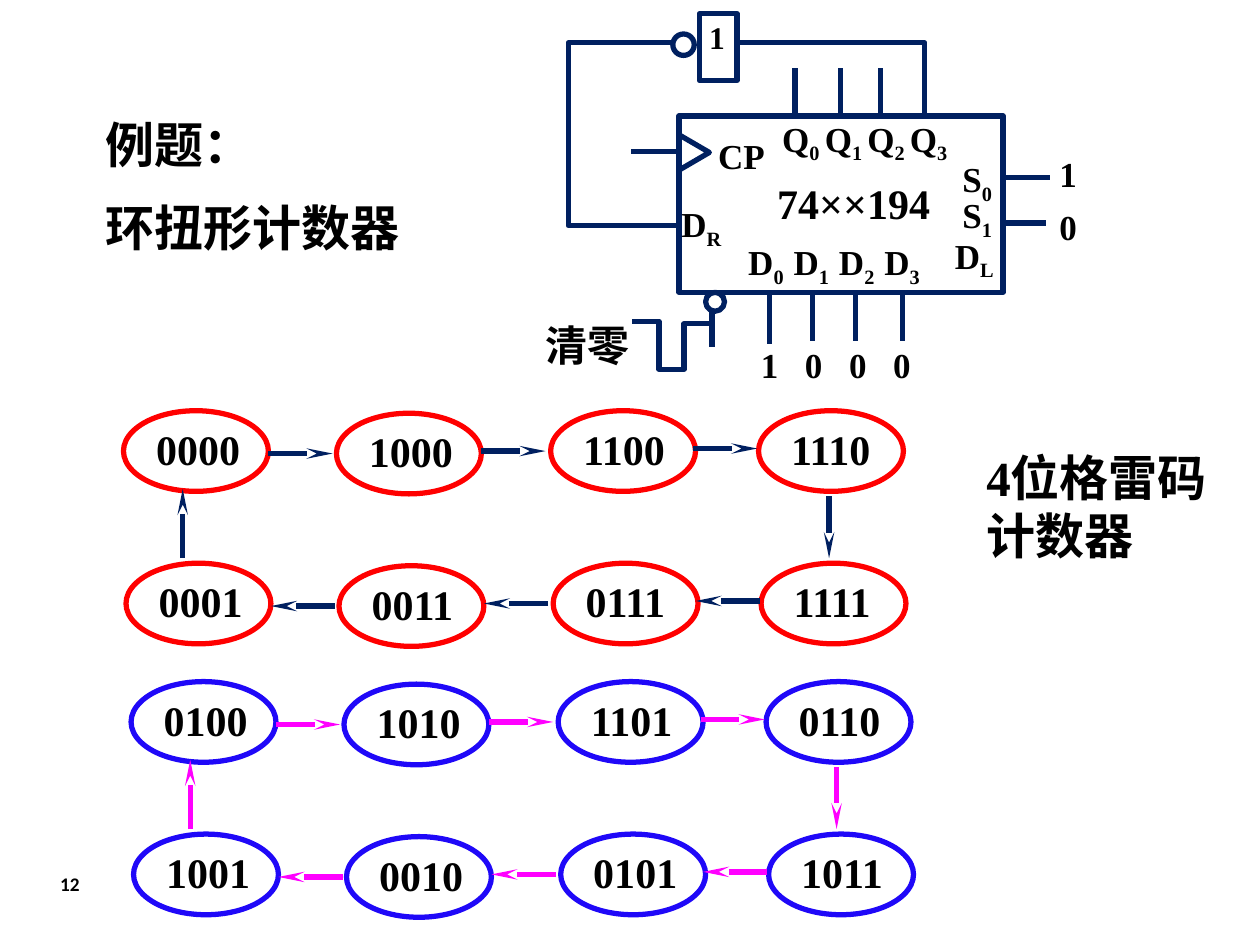
from dataclasses import dataclass
from lxml import etree
from pptx import Presentation, util as u
from pptx.dml.color import RGBColor
from pptx.enum import shapes, text
from pptx.oxml.ns import qn


@dataclass(frozen=True)
class Theme:
    serif: str = "Times New Roman"
    sans: str = "Calibri"
    ink: str = "000000"
    navy: str = "002060"
    red: str = "FF0000"
    blue: str = "1F08F8"
    magenta: str = "FF00FF"
    white: str = "FFFFFF"
    stroke: float = 3
    heading: int = 28
    state: int = 24
    pin: int = 20
    gate: int = 18
    number: int = 11


T = Theme()
WIDTH, HEIGHT = 10, 7.5

# Content: headings and the two state loops (top row, bottom row, both left to right)
TITLE = ["例题：", "环扭形计数器"]
LOOPS = [
    ((0.98, 3.26), T.red, T.navy,
     ["0000", "1000", "1100", "1110"], ["0001", "0011", "0111", "1111"]),
    ((1.04, 5.41), T.blue, T.magenta,
     ["0100", "1010", "1101", "0110"], ["1001", "0010", "0101", "1011"]),
]

# Content: circuit labels as (left, top, width, height, size, (text, subscript) pairs, tab pitch)
LABELS = [
    (5.6, 1.02, 0.68, 0.43, T.pin, [("CP", "")], 0),
    (6.11, 0.88, 1.83, 0.43, T.pin, [("Q", "0 "), ("Q", "1 "), ("Q", "2 "), ("Q", "3")], 0),
    (5.31, 1.56, 0.7, 0.43, T.pin, [("D", "R")], 0),
    (7.48, 1.81, 0.59, 0.43, T.pin, [("D", "L")], 0),
    (7.54, 1.2, 0.49, 0.43, T.pin, [("S", "0")], 0),
    (7.54, 1.49, 0.53, 0.43, T.pin, [("S", "1")], 0),
    (5.84, 1.86, 1.83, 0.43, T.pin, [("D", "0\t"), ("D", "1\t"), ("D", "2\t"), ("D", "3")], 0.36),
    (5.94, 2.68, 1.83, 0.44, T.pin, [("1\t0\t0\t0", "")], 0.35),
    (4.23, 2.49, 1.04, 0.5, T.state, [("清零", "")], 0),
    (6.07, 1.36, 1.77, 0.5, T.state, [("74××194", "")], 0),
    (5.53, 0.09, 0.4, 0.4, T.gate, [("1", "")], 0),
]
SELECT_VALUES = [("1", 1.16), ("0", 1.58)]

# Circuit geometry
OUTLINES = [
    ("RECTANGLE", 5.39, 0.92, 2.57, 1.4, 0),
    ("ISOSCELES_TRIANGLE", 5.37, 1.09, 0.28, 0.24, 90),
    ("OVAL", 5.6, 2.32, 0.15, 0.15, 0),
    ("RECTANGLE", 5.55, 0.11, 0.3, 0.53, 0),
    ("OVAL", 5.34, 0.27, 0.17, 0.17, 0),
]
INPUT_PINS = [(6.11, 2.34), (6.45, 2.32), (6.79, 2.32), (7.16, 2.32)]
OUTPUT_PINS = [6.31, 6.67, 6.99]
WIRES = (
    [(x, y, x, y + 0.39) for x, y in INPUT_PINS]
    + [(x, 0.9, x, 0.54) for x in OUTPUT_PINS]
    + [(5.37, 1.2, 5.01, 1.2), (5.65, 2.47, 5.65, 2.75),
       (8.33, 1.41, 7.97, 1.41), (8.3, 1.77, 7.94, 1.77)]
)
BENT_WIRES = [
    [(5.02, 2.55), (5.23, 2.55), (5.23, 2.93), (5.43, 2.93), (5.43, 2.57), (5.66, 2.57)],
    [(5.85, 0.34), (7.34, 0.34), (7.34, 0.93)],
    [(5.34, 0.34), (4.51, 0.34), (4.51, 1.79), (5.38, 1.79)],
]

# State loop grid, measured from the loop's first state
COLUMNS = [(0, 0), (1.69, 0.02), (3.39, 0), (5.04, 0)]
ROW_SHIFT = (0.02, 1.21)
STATE_W, STATE_H = 1.15, 0.64
ARROWS = [(1.15, 0.34), (2.84, 0.32), (4.52, 0.3)]
ARROW_LENGTH = 0.51

deck = Presentation()
deck.slide_width, deck.slide_height = u.Inches(WIDTH), u.Inches(HEIGHT)
page = deck.slides.add_slide(deck.slide_layouts[5])


def inches(*values):
    return [u.Inches(value) for value in values]


def paint_line(item, color):
    item.line.color.rgb = RGBColor.from_string(color)
    item.line.width = u.Pt(T.stroke)


def add_span(para, words, size, font=T.serif, sub=False):
    span = para.add_run()
    span.text = words
    span.font.name, span.font.size, span.font.bold = font, u.Pt(size), True
    span.font.color.rgb = RGBColor.from_string(T.ink)
    if sub:
        span._r.get_or_add_rPr().set("baseline", "-25000")


def prepare(box):
    frame = box.text_frame
    frame.word_wrap = True
    frame.auto_size = text.MSO_AUTO_SIZE.NONE
    frame.vertical_anchor = text.MSO_ANCHOR.TOP
    para = frame.paragraphs[0]
    para.alignment = text.PP_ALIGN.LEFT
    return para


def add_label(left, top, width, height, size, pairs, pitch=0):
    box = page.shapes.add_textbox(*inches(left, top, width, height))
    para = prepare(box)
    if pitch:
        stops = etree.SubElement(para._p.get_or_add_pPr(), qn("a:tabLst"))
        for i in range(1, 4):
            etree.SubElement(stops, qn("a:tab"), pos=str(u.Inches(pitch * i)), algn="l")
    for words, sub in pairs:
        add_span(para, words, size)
        if sub:
            add_span(para, sub, size, sub=True)


def style_outline(shape, color):
    shape.shadow.inherit = False
    shape.fill.background()
    paint_line(shape, color)
    return shape


def add_outline(kind, left, top, width, height, color, turn=0):
    shape = page.shapes.add_shape(shapes.MSO_SHAPE[kind], *inches(left, top, width, height))
    shape.rotation = turn
    return style_outline(shape, color)


def add_wire(x1, y1, x2, y2, color, arrow=False):
    wire = page.shapes.add_connector(shapes.MSO_CONNECTOR.STRAIGHT, *inches(x1, y1, x2, y2))
    paint_line(wire, color)
    if arrow:
        etree.SubElement(wire.line._get_or_add_ln(), qn("a:tailEnd"),
                         type="stealth", w="sm", len="lg")
    etree.SubElement(wire._element.spPr, qn("a:effectLst"))


def add_bent_wire(points, color):
    start, *corners = [inches(*point) for point in points]
    builder = page.shapes.build_freeform(*start)
    builder.add_line_segments(corners, close=False)
    style_outline(builder.convert_to_shape(), color)


def add_loop(origin, ring, arrow, *rows):
    left, top = origin
    for r, states in enumerate(rows):
        x0, y0 = left + r * ROW_SHIFT[0], top + r * ROW_SHIFT[1]
        for (dx, dy), state in zip(COLUMNS, states):
            add_outline("OVAL", x0 + dx, y0 + dy, STATE_W, STATE_H, ring)
            add_label(x0 + dx + 0.16, y0 + dy + 0.05, 0.98, 0.5, T.state, [(state, "")])
        for dx, dy in ARROWS:
            ends = [x0 + dx, x0 + dx + ARROW_LENGTH]
            start, end = ends[::-1] if r else ends
            add_wire(start, y0 + dy, end, y0 + dy, arrow, True)
    add_wire(left + 5.6, top + 0.68, left + 5.6, top + 1.17, arrow, True)
    add_wire(left + 0.47, top + 1.17, left + 0.47, top + 0.62, arrow, True)


# Title, side note and page number
title = page.shapes.title
title.left, title.top, title.width, title.height = inches(0.74, 0.86, 2.78, 0.49)
para = prepare(title)
for i, words in enumerate(TITLE):
    if i:
        para = title.text_frame.add_paragraph()
        para.alignment = text.PP_ALIGN.LEFT
        para.space_before = u.Pt(T.heading / 2)
    add_span(para, words, T.heading)

add_label(7.73, 3.5, 1.99, 1.03, T.heading, [("4位格雷码计数器", "")])

number = page.shapes.add_textbox(*inches(0.06, 6.87, 0.99, 0.37))
para = prepare(number)
para.alignment = text.PP_ALIGN.CENTER
add_span(para, "12", T.number, font=T.sans)

# State loops
for loop in LOOPS:
    add_loop(*loop)

# Shift register circuit
for kind, left, top, width, height, turn in OUTLINES:
    add_outline(kind, left, top, width, height, T.navy, turn)
for value, top in SELECT_VALUES:
    box = add_outline("RECTANGLE", 8.31, top, 0.51, 0.43, T.white)
    add_span(prepare(box), value, T.pin)
for wire in WIRES:
    add_wire(*wire, T.navy)
for points in BENT_WIRES:
    add_bent_wire(points, T.navy)
for label in LABELS:
    add_label(*label)

deck.save("out.pptx")
